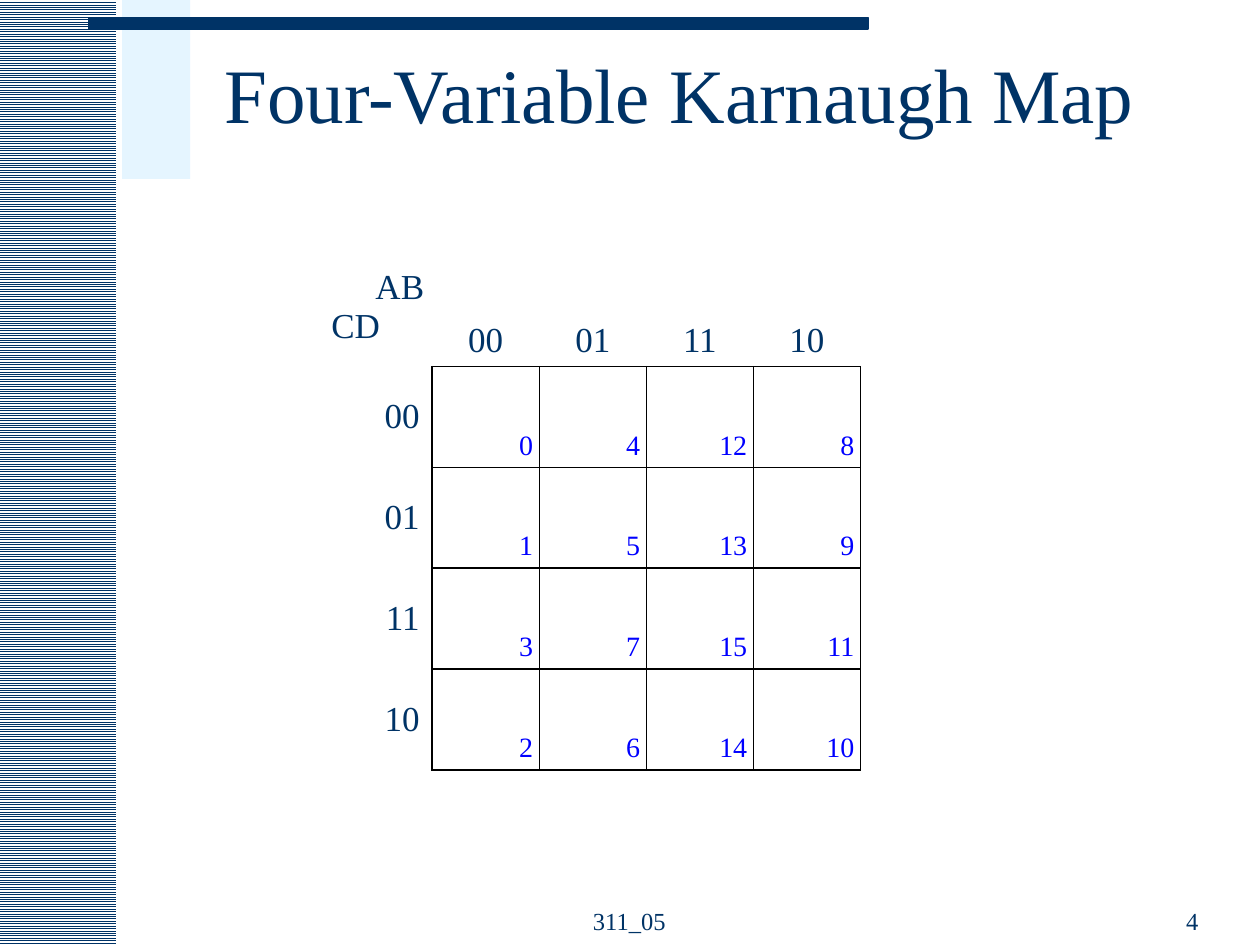
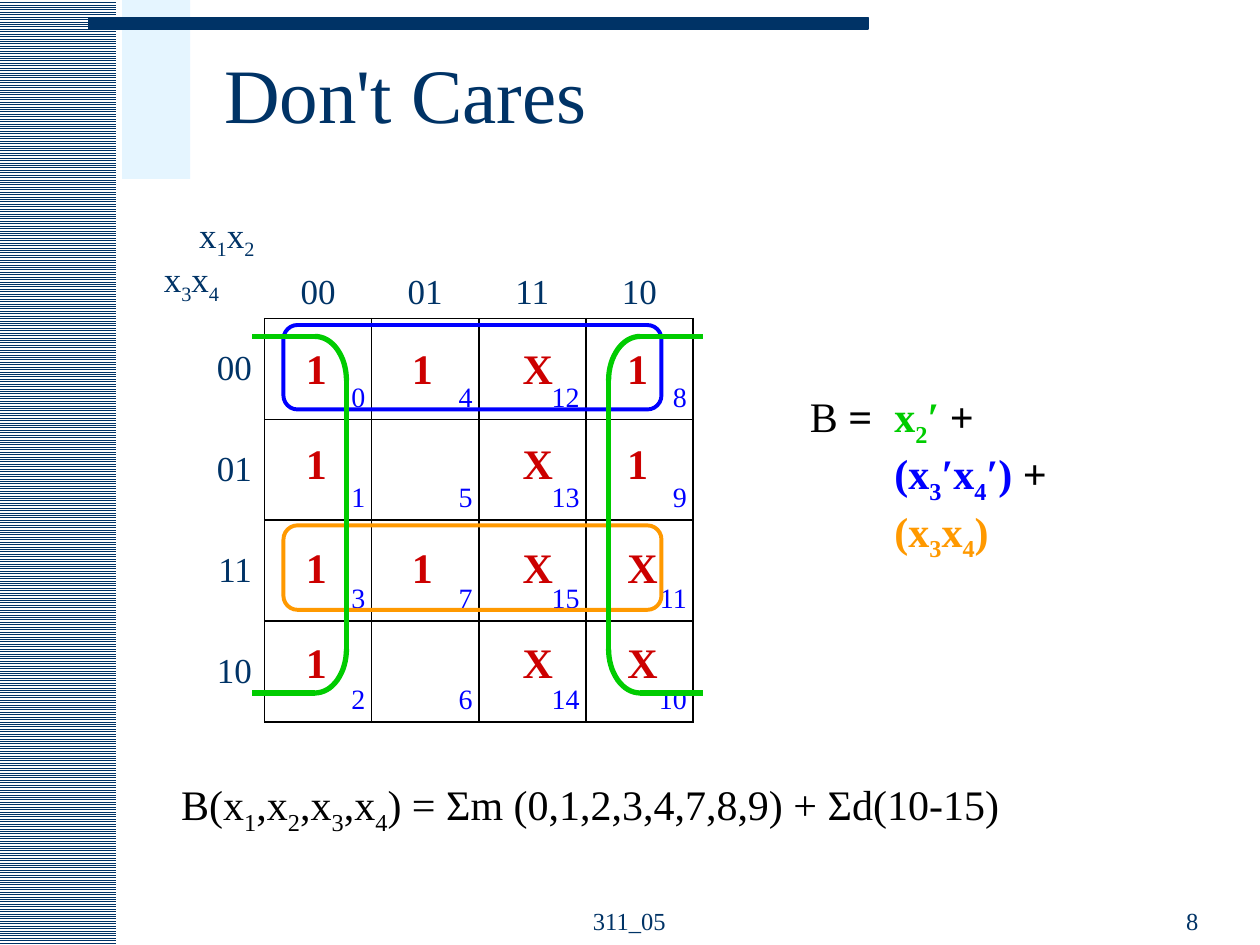
from dataclasses import dataclass
from math import cos, pi, sin

from lxml.etree import SubElement
from pptx import Presentation
from pptx.dml.color import RGBColor as Rgb
from pptx.enum.dml import MSO_PATTERN
from pptx.enum.shapes import MSO_CONNECTOR, MSO_SHAPE
from pptx.enum.text import MSO_ANCHOR as Anchor, MSO_AUTO_SIZE, PP_ALIGN as Align
from pptx.oxml.ns import qn
from pptx.util import Inches, Pt


@dataclass(frozen=True)
class Theme:
    font: str = "Times New Roman"
    navy: Rgb = Rgb(0x00, 0x33, 0x66)
    sky: Rgb = Rgb(0xCC, 0xEC, 0xFF)
    white: Rgb = Rgb(0xFF, 0xFF, 0xFF)
    black: Rgb = Rgb(0x00, 0x00, 0x00)
    blue: Rgb = Rgb(0x00, 0x00, 0xFF)
    red: Rgb = Rgb(0xCC, 0x00, 0x00)
    orange: Rgb = Rgb(0xFF, 0x99, 0x00)
    green: Rgb = Rgb(0x00, 0xCC, 0x00)
    title: int = 44
    formula: int = 24
    label: int = 20
    index: int = 16
    footer: int = 14


THEME = Theme()
GRAY_CODE = [0, 1, 3, 2]


# Text
def style(para, size, color, bold=False, align=Align.LEFT):
    para.alignment = align
    font = para.font
    font.name, font.size, font.bold = THEME.font, Pt(size), bold
    font.color.rgb = color


def indent(para, left, first=0):
    properties = para._p.get_or_add_pPr()
    properties.set("marL", str(Inches(left)))
    properties.set("indent", str(Inches(first)))


def add_spans(para, marked, color=None, bold=None):
    """Add runs; the character after each underscore is a subscript."""
    def add_span(text, subscript=False):
        if not text:
            return
        span = para.add_run()
        span.text = text
        if bold is not None:
            span.font.bold = bold
        if color is not None:
            span.font.color.rgb = color
        if subscript:
            span._r.get_or_add_rPr().set("baseline", "-25000")

    plain, *rest = marked.split("_")
    add_span(plain)
    for part in rest:
        add_span(part[0], subscript=True)
        add_span(part[1:])


def add_text_box(shapes, left, top, width, height, anchor=Anchor.TOP):
    box = shapes.add_textbox(Inches(left), Inches(top), Inches(width), Inches(height))
    box.text_frame.word_wrap = True
    box.text_frame.vertical_anchor = anchor
    return box.text_frame.paragraphs[0]


# Shapes and lines
def add_outline_free(shapes, kind, left, top, width, height):
    shape = shapes.add_shape(kind, Inches(left), Inches(top), Inches(width), Inches(height))
    shape.shadow.inherit = False
    shape.line.fill.background()
    return shape


def add_loop_box(shapes, left, top, width, height, color):
    box = add_outline_free(shapes, MSO_SHAPE.ROUNDED_RECTANGLE, left, top, width, height)
    box.fill.background()
    box.line.color.rgb = color
    box.line.width = Pt(2.25)


def add_line(shapes, start, end, color):
    line = shapes.add_connector(MSO_CONNECTOR.STRAIGHT, *map(Inches, start + end))
    line.line.color.rgb = color
    line.line.width = Pt(3)
    SubElement(line.element.spPr, qn("a:effectLst"))


def add_quarter_arc(shapes, center, radius_x, radius_y, color, steps=16):
    angles = [pi / 2 * step / steps for step in range(steps + 1)]
    points = [(Inches(center[0] + radius_x * cos(angle)),
               Inches(center[1] + radius_y * sin(angle))) for angle in angles]
    builder = shapes.build_freeform(*points[0])
    builder.add_line_segments(points[1:], close=False)
    arc = builder.convert_to_shape()
    arc.shadow.inherit = False
    arc.fill.background()
    arc.line.color.rgb = color
    arc.line.width = Pt(3)


def add_wraparound(shapes, center_x, side, color):
    """Draw half a loop that leaves the map; side is 1 if it bulges right."""
    top, bottom, radius_x, radius_y = 3.02, 5.15, 0.25, 0.35
    wall = center_x + side * radius_x
    for y, direction in ((top, -1), (bottom, 1)):
        add_quarter_arc(shapes, (center_x, y), side * radius_x, direction * radius_y, color)
        edge = y + direction * radius_y
        add_line(shapes, (center_x, edge), (center_x - side * 0.5, edge), color)
    add_line(shapes, (wall, top), (wall, bottom), color)


# Karnaugh map table
def set_borders(cell, visible):
    properties = cell._tc.get_or_add_tcPr()
    for position, edge in enumerate("LRTB"):
        line = properties.makeelement(qn(f"a:ln{edge}"), w=str(Pt(1)))
        if edge in visible:
            fill = SubElement(line, qn("a:solidFill"))
            SubElement(fill, qn("a:srgbClr"), val=str(THEME.black))
        else:
            SubElement(line, qn("a:noFill"))
        properties.insert(position, line)


def fill_map_cell(cell, row, column):
    """Fill a heading or a minterm number and return the visible edges."""
    para = cell.text_frame.paragraphs[0]
    cell.vertical_anchor = Anchor.BOTTOM
    if row and column:
        para.text = str(4 * GRAY_CODE[column - 1] + GRAY_CODE[row - 1])
        style(para, THEME.index, THEME.blue, align=Align.RIGHT)
        return "LRTB"
    para.text = f"{GRAY_CODE[max(row, column) - 1]:02b}"
    if row:
        cell.vertical_anchor = Anchor.MIDDLE
        cell.margin_right = Inches(0.1)
        style(para, THEME.label, THEME.navy, align=Align.RIGHT)
        return "R"
    style(para, THEME.label, THEME.navy, align=Align.CENTER)
    return "B"


def fill_corner(cell, column_name, row_name, offset):
    cell.vertical_anchor = Anchor.TOP
    frame = cell.text_frame
    for para, name in ((frame.paragraphs[0], column_name), (frame.add_paragraph(), row_name)):
        style(para, THEME.label, THEME.navy)
        add_spans(para, name)
    indent(frame.paragraphs[0], offset)


def add_karnaugh_map(slide, left, top, column_name, row_name, offset):
    frame = slide.shapes.add_table(5, 5, Inches(left), Inches(top), Inches(4.25), Inches(4.03))
    table = frame.table
    table.first_row = table.horz_banding = False
    for column in table.columns:
        column.width = Inches(0.85)
    for number, row in enumerate(table.rows):
        row.height = Inches(0.8 if number else 0.83)
    for row in range(5):
        for column in range(5):
            cell = table.cell(row, column)
            cell.fill.background()
            cell.margin_left = cell.margin_right = Inches(0.05)
            cell.margin_top = cell.margin_bottom = Inches(0.05)
            if row or column:
                set_borders(cell, fill_map_cell(cell, row, column))
            else:
                fill_corner(cell, column_name, row_name, offset)
                set_borders(cell, "")


def add_marks(slide):
    group = slide.shapes.add_group_shape()
    for top, marks in zip((2.67, 3.42, 4.25, 5), ("11X1", "1 X1", "11XX", "1 XX")):
        for left, mark in zip((2.33, 3.17, 4.05, 4.88), marks):
            if mark != " ":
                para = add_text_box(group.shapes, left, top, 0.45 if mark == "X" else 0.37, 0.5)
                para.text = mark
                style(para, THEME.formula, THEME.red, bold=True)


# Shared frame of the slides
def decorate_layout(layout, slide):
    """Draw the bands and move them behind the layout's placeholders."""
    stripes, tab, bar = [
        add_outline_free(slide.shapes, MSO_SHAPE.RECTANGLE, *place)
        for place in ((0, 0, 0.92, 7.5), (0.97, 0, 0.54, 1.42), (0.7, 0.14, 6.19, 0.09))]
    stripes.fill.patterned()
    stripes.fill.pattern = MSO_PATTERN.LIGHT_HORIZONTAL
    stripes.fill.fore_color.rgb = THEME.navy
    stripes.fill.back_color.rgb = THEME.white
    tab.fill.solid()
    tab.fill.fore_color.rgb = THEME.sky
    tab_color = tab.element.spPr.find(".//" + qn("a:srgbClr"))
    SubElement(tab_color, qn("a:alpha"), val="50000")
    bar.fill.solid()
    bar.fill.fore_color.rgb = THEME.navy
    bar.line.color.rgb = THEME.navy
    bar.line.width = Pt(0.75)
    first = layout.shapes[0].element
    for band in (stripes, tab, bar):
        first.addprevious(band.element)


def add_slide(deck, layout, title_text, number):
    slide = deck.slides.add_slide(layout)
    title = slide.shapes.title
    title.left, title.top, title.width, title.height = map(Inches, (1.68, 0.17, 8.07, 1.25))
    title.text_frame.text = title_text
    title.text_frame.auto_size = MSO_AUTO_SIZE.NONE
    title.text_frame.vertical_anchor = Anchor.MIDDLE
    para = title.text_frame.paragraphs[0]
    para.line_spacing = 0.85
    style(para, THEME.title, THEME.navy)
    for text, left, width, align in (("311_05", 4.08, 1.83, Align.CENTER),
                                     (number, 7.21, 2.4, Align.RIGHT)):
        para = add_text_box(slide.shapes, left, 6.97, width, 0.5, Anchor.BOTTOM)
        para.text = text
        style(para, THEME.footer, THEME.navy, align=align)
    return slide


# Formulas of the second slide
def add_function(slide):
    para = add_text_box(slide.shapes, 1.34, 6.13, 6.87, 0.5)
    style(para, THEME.formula, THEME.black)
    add_spans(para, "B(x_1,x_2,x_3,x_4) = Σm (0,1,2,3,4,7,8,9) + Σd(10-15)")


def add_solution(slide):
    para = add_text_box(slide.shapes, 6, 3.05, 2.46, 1.31)
    style(para, THEME.formula, THEME.black, bold=True)
    indent(para, 1, -0.67)
    add_spans(para, "B", bold=False)
    add_spans(para, " =\t")
    add_spans(para, "x_2′", THEME.green)
    for term, color in (("(x_3′x_4′)", THEME.blue), ("(x_3x_4)", THEME.orange)):
        add_spans(para, " +")
        para.add_line_break()
        add_spans(para, term, color)


def main():
    deck = Presentation()
    deck.slide_width, deck.slide_height = Inches(10), Inches(7.5)
    layout = deck.slide_layouts.get_by_name("Title Only")

    # Four-variable map
    slide = add_slide(deck, layout, "Four-Variable Karnaugh Map", "4")
    decorate_layout(layout, slide)
    add_karnaugh_map(slide, 2.58, 2.08, "AB", "CD", 0.35)

    # Map with don't cares
    slide = add_slide(deck, layout, "Don't Cares", "8")
    add_karnaugh_map(slide, 1.25, 1.67, "x_1x_2", "x_3x_4", 0.28)
    add_function(slide)
    add_marks(slide)
    add_loop_box(slide.shapes, 2.25, 2.58, 3, 0.67, THEME.blue)
    add_loop_box(slide.shapes, 2.25, 4.17, 3, 0.67, THEME.orange)
    add_solution(slide)
    loop = slide.shapes.add_group_shape()
    add_wraparound(loop.shapes, 5.08, -1, THEME.green)
    add_wraparound(loop.shapes, 2.5, 1, THEME.green)

    deck.save("out.pptx")


main()
